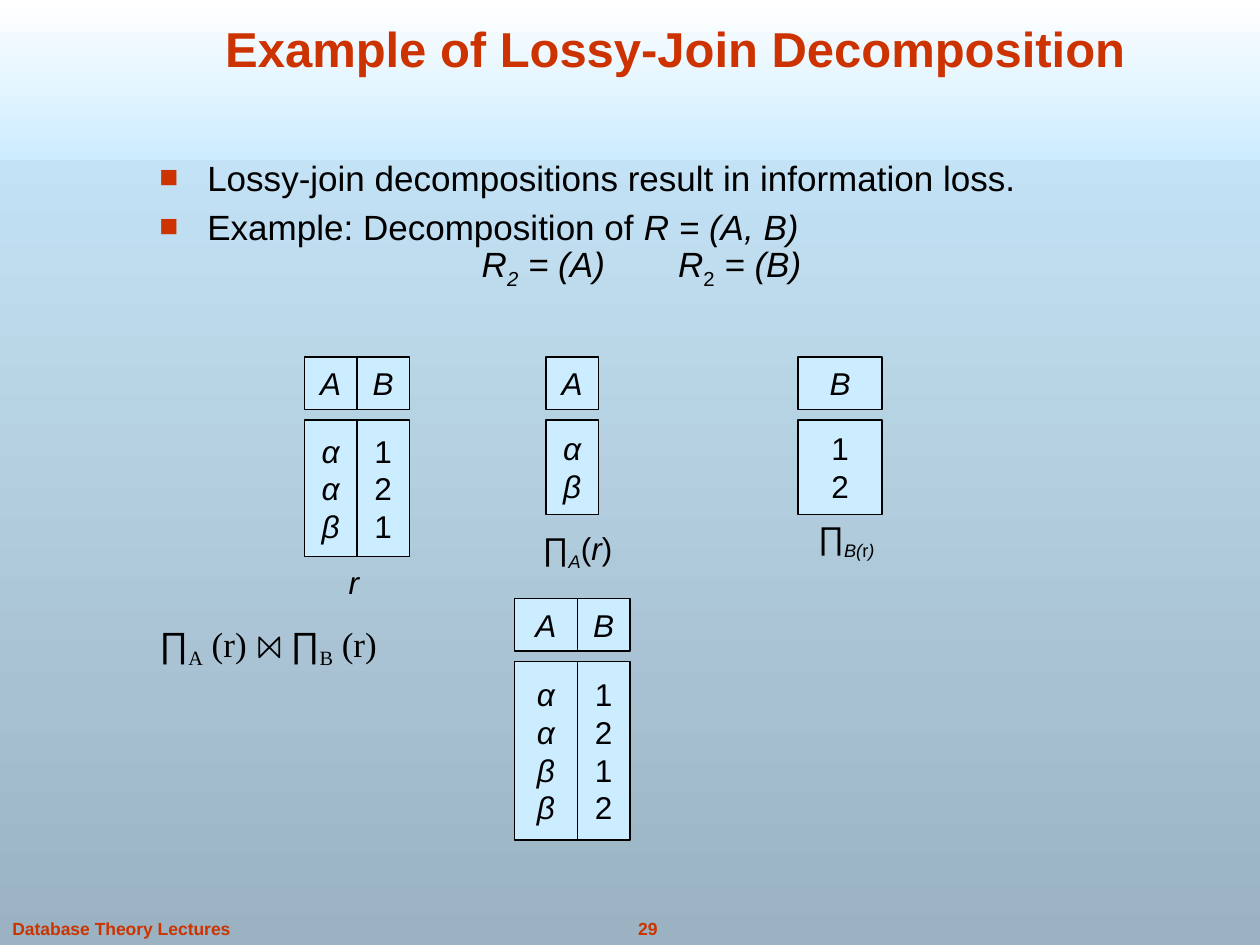
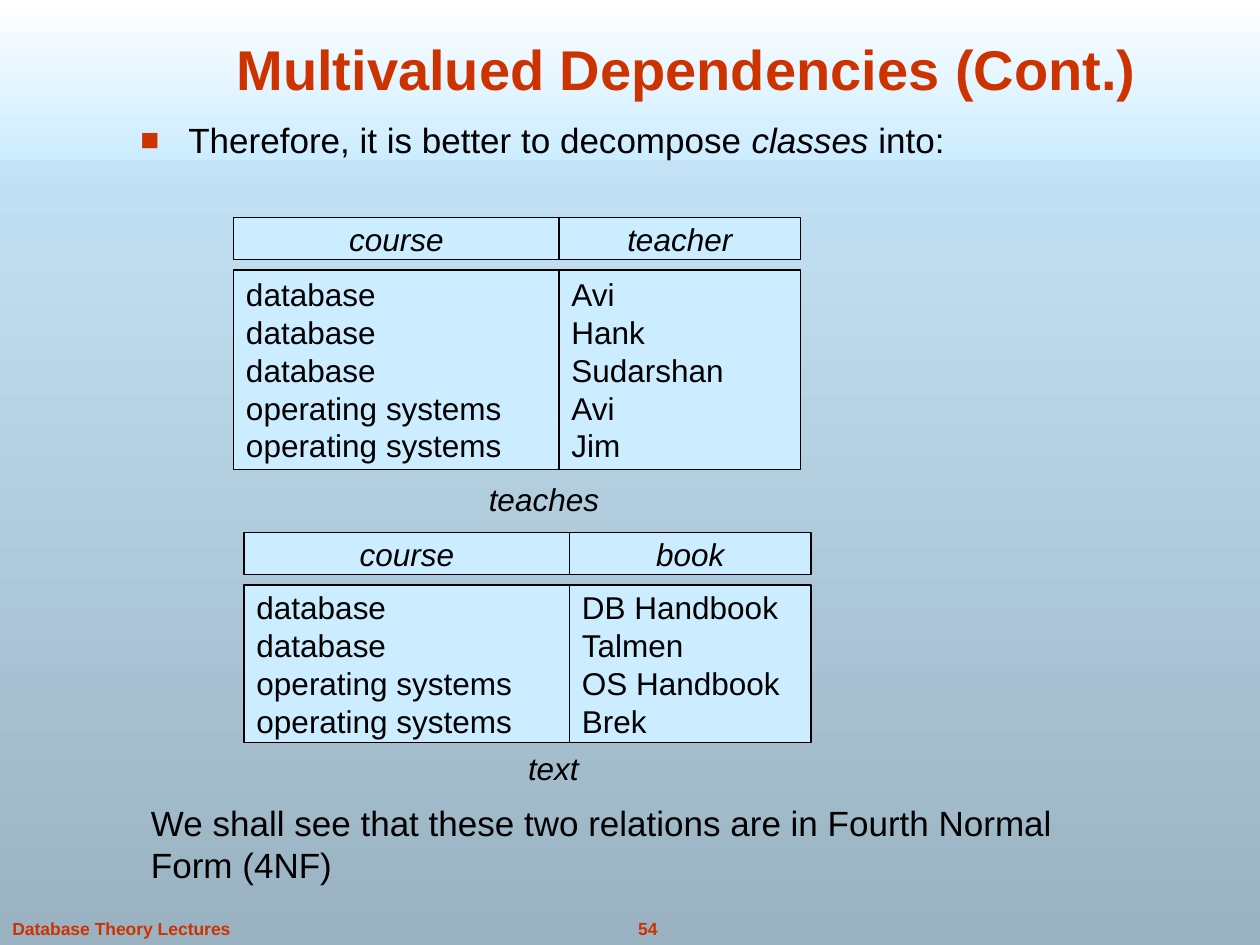
from dataclasses import dataclass

from lxml import etree
from pptx import Presentation
from pptx.dml.color import RGBColor
from pptx.enum.shapes import MSO_SHAPE
from pptx.enum.text import MSO_ANCHOR, PP_ALIGN
from pptx.oxml.ns import qn
from pptx.util import Emu, Inches, Pt

RECTANGLE = MSO_SHAPE.RECTANGLE
TOP, MIDDLE, BOTTOM = MSO_ANCHOR.TOP, MSO_ANCHOR.MIDDLE, MSO_ANCHOR.BOTTOM
LEFT, CENTER = PP_ALIGN.LEFT, PP_ALIGN.CENTER

# The slide is a grid of 120 columns by 90 rows, each 1/12 inch
COLUMNS, ROWS = 120, 90
UNIT = Inches(1) // 12
HEADER_GAP = 1

COLORS = {
    "accent": "CC3300",
    "ink": "000000",
    "white": "FFFFFF",
    "pale": "CCECFF",
    "slate": "9AB2C1",
}
SANS, SERIF = "Arial", "Times New Roman"


@dataclass(frozen=True)
class Area:
    left: float
    top: float
    width: float
    height: float

    def emu(self) -> tuple[Emu, ...]:
        return tuple(Emu(round(side * UNIT)) for side in
                     (self.left, self.top, self.width, self.height))


@dataclass(frozen=True)
class Span:
    """Piece of text; a vertical tab stands for a line break."""
    text: str
    italic: bool = False
    lowered: bool = False
    font: str = SANS


@dataclass(frozen=True)
class Style:
    size: float
    color: str = "ink"
    bold: bool = False
    align: PP_ALIGN = LEFT
    anchor: MSO_ANCHOR = TOP
    wrap: bool = True
    line_spacing: float = 1.0
    space_before: float = 0
    bullet: bool = False
    tabs: tuple[float, ...] = ()  # in columns from the text's left edge


@dataclass(frozen=True)
class Column:
    heading: str
    width: float
    values: tuple[str, ...]
    italic: bool = False


@dataclass(frozen=True)
class Relation:
    left: float
    top: float
    header_height: float
    body_height: float
    columns: tuple[Column, ...]
    align: PP_ALIGN = CENTER


Paragraphs = list[list[Span]]

FOOTER = Style(10, "accent", True, wrap=False, space_before=6.2)
PAGE_NUMBER = Style(10, "accent", True, CENTER, wrap=False, space_before=6.2)
LABEL = Style(18, align=CENTER, anchor=MIDDLE, wrap=False)
NOTE = Style(20)


def rgb(name: str) -> RGBColor:
    return RGBColor.from_string(COLORS[name])


def fill_downwards(fill, top: str, bottom: str) -> None:
    fill.gradient()
    fill.gradient_angle = 270
    for stop, name, position in zip(fill.gradient_stops, (top, bottom), (0, 1)):
        stop.color.rgb = rgb(name)
        stop.position = position


def add_bullet(properties) -> None:
    properties.set("marL", str(Inches(0.38)))
    properties.set("indent", str(-Inches(0.38)))
    color = etree.SubElement(properties, qn("a:buClr"))
    etree.SubElement(color, qn("a:srgbClr"), val=COLORS["accent"])
    etree.SubElement(properties, qn("a:buSzPct"), val="90000")
    etree.SubElement(properties, qn("a:buFont"), typeface=SANS)
    etree.SubElement(properties, qn("a:buChar"), char="■")


def add_tabs(properties, columns: tuple[float, ...]) -> None:
    stops = etree.SubElement(properties, qn("a:tabLst"))
    for column in columns:
        etree.SubElement(stops, qn("a:tab"), pos=str(round(column * UNIT)), algn="l")


def add_span(para, span: Span, style: Style) -> None:
    if span.text == "\v":
        para.add_line_break()
        return
    run = para.add_run()
    run.text = span.text
    run.font.name = span.font
    run.font.size = Pt(style.size)
    run.font.bold = style.bold
    run.font.italic = span.italic
    run.font.color.rgb = rgb(style.color)
    if span.lowered:
        run._r.get_or_add_rPr().set("baseline", "-25000")


def write(frame, paragraphs: Paragraphs, style: Style) -> None:
    frame.word_wrap = style.wrap
    frame.vertical_anchor = style.anchor
    for index, spans in enumerate(paragraphs):
        para = frame.add_paragraph() if index else frame.paragraphs[0]
        para.alignment = style.align
        para.line_spacing = style.line_spacing
        para.space_before = Pt(style.space_before)
        properties = para._p.get_or_add_pPr()
        if style.bullet:
            add_bullet(properties)
        if style.tabs:
            add_tabs(properties, style.tabs)
        for span in spans:
            add_span(para, span, style)


def add_text(page, area: Area, paragraphs: Paragraphs, style: Style) -> None:
    box = page.shapes.add_textbox(*area.emu())
    write(box.text_frame, paragraphs, style)


def add_title(page, area: Area, text: str, size: float) -> None:
    style = Style(size, "accent", True, CENTER, BOTTOM)
    add_text(page, area, [[Span(text)]], style)


def add_cell(page, area: Area, lines: tuple[str, ...], italic: bool,
             align: PP_ALIGN) -> None:
    cell = page.shapes.add_shape(RECTANGLE, *area.emu())
    cell.shadow.inherit = False
    cell.fill.solid()
    cell.fill.fore_color.rgb = rgb("pale")
    cell.line.color.rgb = rgb("ink")
    cell.line.width = Pt(0.75)
    write(cell.text_frame, [[Span(line, italic)] for line in lines],
          Style(18, align=align, anchor=MIDDLE))


def add_relation(page, relation: Relation) -> None:
    left = relation.left
    body_top = relation.top + relation.header_height + HEADER_GAP
    for column in relation.columns:
        add_cell(page, Area(left, relation.top, column.width, relation.header_height),
                 (column.heading,), True, CENTER)
        add_cell(page, Area(left, body_top, column.width, relation.body_height),
                 column.values, column.italic, relation.align)
        left += column.width


def add_join_sign(page, area: Area) -> None:
    left, top, width, height = area.emu()
    right, bottom = left + width, top + height
    builder = page.shapes.build_freeform(left, top)
    builder.add_line_segments([(left, bottom), (right, top), (right, bottom)])
    sign = builder.convert_to_shape()
    sign.shadow.inherit = False
    sign.fill.background()
    sign.line.color.rgb = rgb("ink")
    sign.line.width = Pt(1)


def add_page(deck, number: int):
    """Blank slide with the shared background, top band and footer."""
    page = deck.slides.add_slide(deck.slide_layouts[6])
    fill_downwards(page.background.fill, "pale", "slate")
    band = page.shapes.add_shape(RECTANGLE, *Area(0, 0, COLUMNS, 15.2).emu())
    band.shadow.inherit = False
    band.line.fill.background()
    fill_downwards(band.fill, "white", "pale")
    add_text(page, Area(56.5, 86.8, 10.4, 3.2), [[Span(str(number))]], PAGE_NUMBER)
    add_text(page, Area(0, 86.8, 30, 3.2),
             [[Span("Database Theory Lectures")]], FOOTER)
    return page


def build_lossy_join(deck) -> None:
    page = add_page(deck, 29)
    add_title(page, Area(9, 2, 110.6, 6), "Example of Lossy-Join Decomposition", 28)
    add_text(page, Area(14, 15.05, 88.2, 13.8), [
        [Span("Lossy-join decompositions result in information loss.")],
        [Span("Example: Decomposition of "), Span("R = (A, B)", True), Span("\v"),
         Span("\tR", True), Span("2", True, True), Span(" = (A)\tR", True),
         Span("2", lowered=True), Span(" = (B)", True)],
    ], Style(20, line_spacing=0.8, space_before=8.8, bullet=True, tabs=(30.7, 49.4)))

    # Relation r, its two projections and their join
    for relation in (
        Relation(29, 34, 5, 13, (Column("A", 5, ("α", "α", "β"), True),
                                 Column("B", 5, ("1", "2", "1")))),
        Relation(52, 34, 5, 9, (Column("A", 5, ("α", "β"), True),)),
        Relation(76, 34, 5, 9, (Column("B", 8, ("1", "2")),)),
        Relation(49, 57, 5, 17, (Column("A", 6, ("α", "α", "β", "β"), True),
                                 Column("B", 5, ("1", "2", "1", "2")))),
    ):
        add_relation(page, relation)

    # Names below the relations
    for area, spans in (
        (Area(32, 53, 3.4, 4.8), [Span("r", True)]),
        (Area(50.4, 49.8, 9.2, 5.3),
         [Span("∏"), Span("A", True, True), Span("("), Span("r", True), Span(")")]),
        (Area(76.6, 48.7, 8, 5.3),
         [Span("∏"), Span("B(", True, True), Span("r", lowered=True),
          Span(")", True, True)]),
    ):
        add_text(page, area, [spans], LABEL)

    # Join expression, with the join sign drawn in the tab gap
    add_text(page, Area(14, 58.65, 33, 11.4), [[
        Span("∏"), Span("A", lowered=True, font=SERIF), Span(" (r)\t", font=SERIF),
        Span("∏"), Span("B", lowered=True, font=SERIF), Span(" (r)", font=SERIF),
    ]], Style(20, space_before=8.8, tabs=(12.5,)))
    add_join_sign(page, Area(24.7, 60.7, 1.9, 1.9))


def build_multivalued(deck) -> None:
    page = add_page(deck, 54)
    add_title(page, Area(18.7, 2, 93.4, 8.3), "Multivalued Dependencies (Cont.)", 32)
    add_text(page, Area(12.2, 10.7, 88.2, 7), [
        [Span("Therefore, it is better to decompose "), Span("classes ", True),
         Span("into:")],
    ], Style(20, space_before=8.8, bullet=True))

    # The two decomposed relations
    database, systems = ("database",), ("operating systems",)
    for relation in (
        Relation(22.25, 20.72, 4, 19, (
            Column("course", 31, database * 3 + systems * 2),
            Column("teacher", 23, ("Avi", "Hank", "Sudarshan", "Avi", "Jim")),
        ), LEFT),
        Relation(23.25, 50.72, 4, 15, (
            Column("course", 31, database * 2 + systems * 2),
            Column("book", 23, ("DB Handbook", "Talmen", "OS Handbook", "Brek")),
        ), LEFT),
    ):
        add_relation(page, relation)

    # Relation names and closing remark
    add_text(page, Area(43.8, 45.1, 16, 4.8), [[Span("teaches", True)]], LABEL)
    add_text(page, Area(47.7, 70.7, 10, 4.8), [[Span("text", True)]], LABEL)
    add_text(page, Area(13.2, 75.7, 90, 9), [[Span(
        "We shall see that these two relations are in Fourth Normal Form (4NF)")]], NOTE)


def main() -> None:
    deck = Presentation()
    deck.slide_width, deck.slide_height = Emu(COLUMNS * UNIT), Emu(ROWS * UNIT)
    build_lossy_join(deck)
    build_multivalued(deck)
    deck.save("out.pptx")


if __name__ == "__main__":
    main()
